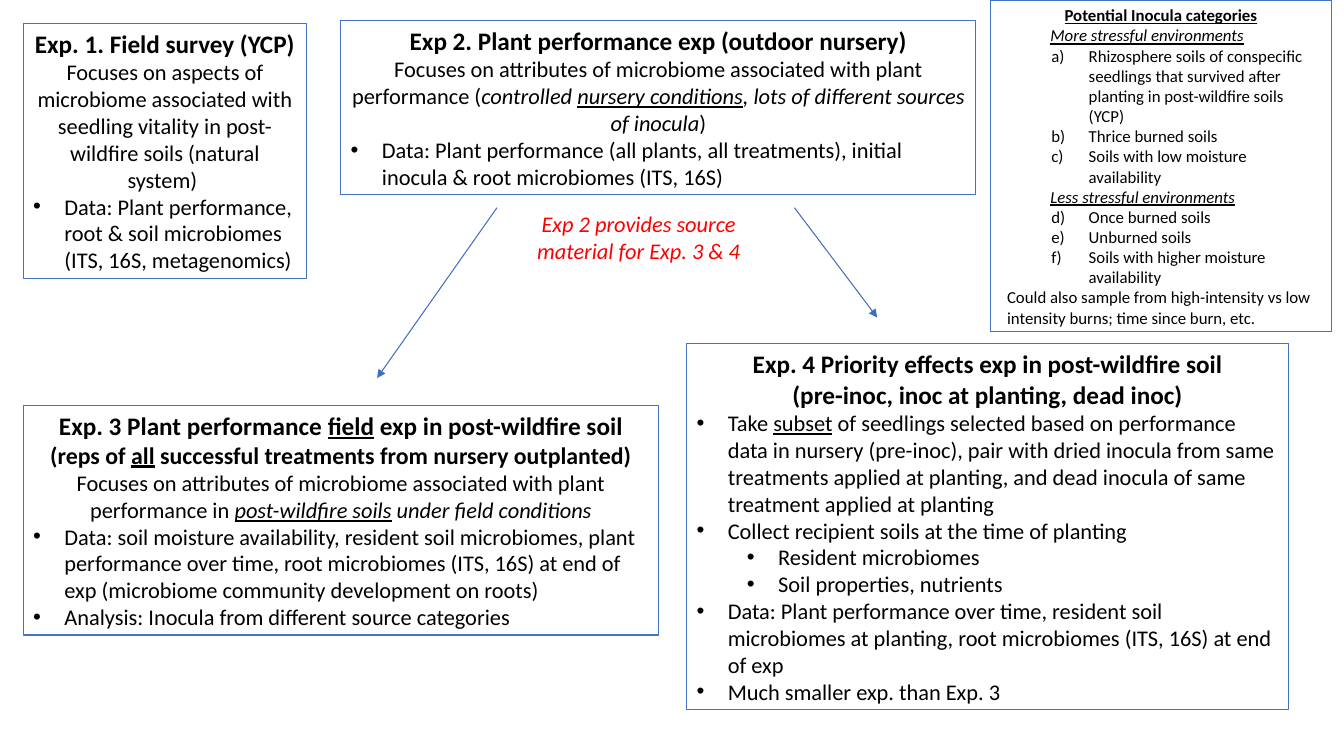
from functools import partial
from pptx import Presentation
from pptx.dml.color import RGBColor as Rgb
from pptx.enum.shapes import MSO_CONNECTOR as Link, MSO_SHAPE as Form
from pptx.enum.text import MSO_ANCHOR as Anchor, MSO_AUTO_SIZE as Fit, PP_ALIGN as Align
from pptx.oxml.ns import qn
from pptx.util import Inches, Pt
from lxml.etree import SubElement as Sub

WIDE, HIGH = Inches(13.33), Inches(7.5)
INK = {"text": "000000", "edge": "4472C4", "arrow": "3F6FC3", "note": "FF0000"}


def tone(name):
    return Rgb.from_string(INK[name])


def spot(col, row):
    return round(WIDE * col / 100), round(HIGH * row / 100)


def mark(props, sign, start):
    if sign == "•":
        Sub(props, qn("a:buFont"), typeface="Arial")
        Sub(props, qn("a:buChar"), char=sign)
    elif sign:
        Sub(props, qn("a:buFont"), typeface="+mj-lt")
        Sub(props, qn("a:buAutoNum"), type=sign, startAt=str(start))
    else:
        Sub(props, qn("a:buNone"))


def write(frame, text, size=16, bold=False, color="text", align=Align.LEFT,
          left=0, hang=0, level=0, sign=None, start=1):
    """Slashes switch italics on and off, underscores switch underlining."""
    first = frame.paragraphs[0]
    para = frame.add_paragraph() if first.runs else first
    para.alignment, para.level = align, level
    props = para._p.get_or_add_pPr()
    props.set("marL", str(Inches(left)))
    props.set("indent", str(Inches(-hang)))
    mark(props, sign, start)
    slant = under = False
    for i, piece in enumerate(text.split("/")):
        slant = i % 2 == 1
        for j, part in enumerate(piece.split("_")):
            under = under != (j > 0)
            if part:
                run = para.add_run()
                run.text = part
                font = run.font
                font.name, font.size, font.bold = "Calibri", Pt(size), bold
                font.italic, font.underline = slant, under
                font.color.rgb = tone(color)


head = partial(write, size=18, bold=True, align=Align.CENTER)
lead = partial(write, align=Align.CENTER)
point = partial(write, left=0.31, hang=0.31, sign="•")
deep = partial(point, left=0.81, level=1)
small = partial(write, size=12)
group = partial(small, left=0.5)
item = partial(small, left=0.88, hang=0.37, level=1, sign="alphaLcParenR")


def setup(frame):
    frame.word_wrap = True
    frame.auto_size = Fit.SHAPE_TO_FIT_TEXT
    frame.vertical_anchor = Anchor.TOP
    return frame


def panel(slide, col, row, cols, rows):
    box = slide.shapes.add_shape(Form.RECTANGLE, *spot(col, row), *spot(cols, rows))
    box.shadow.inherit = False
    box.fill.background()
    box.line.color.rgb = tone("edge")
    box.line.width = Pt(0.75)
    return setup(box.text_frame)


def label(slide, col, row, cols, rows):
    return setup(slide.shapes.add_textbox(*spot(col, row), *spot(cols, rows)).text_frame)


def arrow(slide, tail, tip):
    wire = slide.shapes.add_connector(Link.STRAIGHT, *spot(*tail), *spot(*tip))
    wire.line.color.rgb = tone("arrow")
    wire.line.width = Pt(0.75)
    Sub(wire.line._get_or_add_ln(), qn("a:tailEnd"), type="triangle")
    Sub(wire._element.spPr, qn("a:effectLst"))


def field(slide):
    box = panel(slide, 1.73, 3.07, 21.08, 33.73)
    head(box, "Exp. 1. Field survey (YCP)")
    lead(box, "Focuses on aspects of microbiome associated with seedling vitality "
              "in post-wildfire soils (natural system) ")
    point(box, "Data: Plant performance, root & soil microbiomes (ITS, 16S, metagenomics)")


def nursery(slide):
    box = panel(slide, 25.36, 2.67, 47.26, 23.07)
    head(box, "Exp 2. Plant performance exp (outdoor nursery)")
    lead(box, "Focuses on attributes of microbiome associated with plant performance "
              "(/controlled _nursery conditions_, lots of different sources of inocula/)")
    point(box, "Data: Plant performance (all plants, all treatments), initial inocula "
               "& root microbiomes (ITS, 16S)")


def outplant(slide):
    box = panel(slide, 1.73, 53.6, 47.26, 30.4)
    head(box, "Exp. 3 Plant performance _field_ exp in post-wildfire soil")
    head(box, "(reps of _all_ successful treatments from nursery outplanted)", size=17)
    lead(box, "Focuses on attributes of microbiome associated with plant performance in "
              "/_post-wildfire soils_ under field conditions/")
    point(box, "Data: soil moisture availability, resident soil microbiomes, plant "
               "performance over time, root microbiomes (ITS, 16S) at end of exp "
               "(microbiome community development on roots)")
    point(box, "Analysis: Inocula from different source categories")


def effects(slide):
    box = panel(slide, 51.09, 45.47, 44.79, 48.4)
    head(box, "Exp. 4 Priority effects exp in post-wildfire soil")
    head(box, "(pre-inoc, inoc at planting, dead inoc)")
    point(box, "Take _subset_ of seedlings selected based on performance data in nursery "
               "(pre-inoc), pair with dried inocula from same treatments applied at "
               "planting, and dead inocula of same treatment applied at planting")
    point(box, "Collect recipient soils at the time of planting")
    for text in ("Resident microbiomes", "Soil properties, nutrients"):
        deep(box, text)
    point(box, "Data: Plant performance over time, resident soil microbiomes at planting, "
               "root microbiomes (ITS, 16S) at end of exp")
    point(box, "Much smaller exp. than Exp. 3")


def sources(slide):
    box = panel(slide, 73.67, 0, 25.43, 43.87)
    small(box, "_Potential Inocula categories_", bold=True, align=Align.CENTER)
    kinds = (
        ("More stressful environments", 1, (
            "Rhizosphere soils of conspecific seedlings that survived after planting "
            "in post-wildfire soils (YCP)",
            "Thrice burned soils",
            "Soils with low moisture availability")),
        ("Less stressful environments", 4, (
            "Once burned soils",
            "Unburned soils",
            "Soils with higher moisture availability")),
    )
    for title, start, soils in kinds:
        group(box, f"/_{title}_/")
        for soil in soils:
            item(box, soil, start=start)
    small(box, "Could also sample from high-intensity vs low intensity burns; "
               "time since burn, etc.", left=0.07)


def main():
    deck = Presentation()
    deck.slide_width, deck.slide_height = WIDE, HIGH
    slide = deck.slides.add_slide(deck.slide_layouts[6])
    field(slide)
    outplant(slide)
    arrow(slide, (59.11, 27.47), (65.27, 42))
    effects(slide)
    nursery(slide)
    arrow(slide, (36.98, 27.47), (28.06, 50))
    lead(label(slide, 36.98, 27.2, 21.08, 8.4),
         "/Exp 2 provides source material for Exp. 3 & 4/", color="note")
    sources(slide)
    deck.save("out.pptx")


if __name__ == "__main__":
    main()
